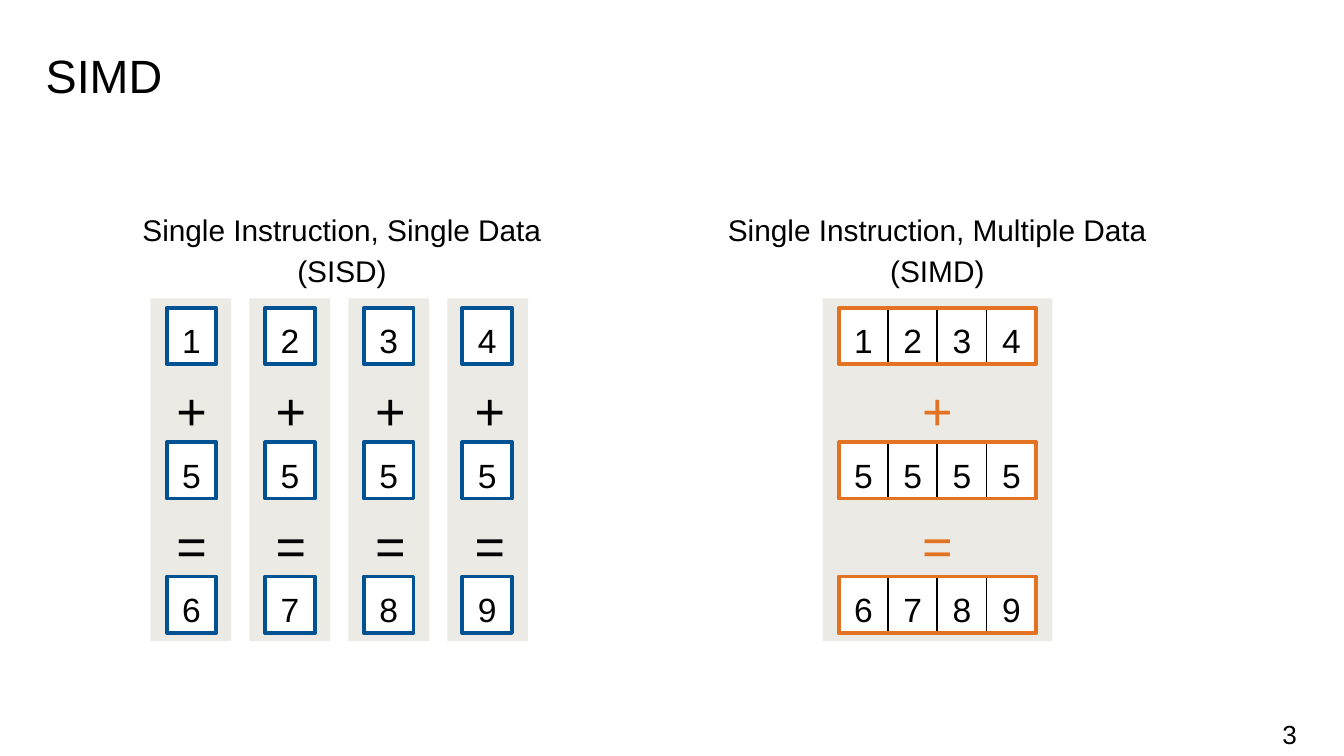
"""Build a slide comparing SISD and SIMD addition."""
import pptx
import pptx.dml.color
import pptx.enum.shapes
import pptx.enum.text
import pptx.oxml.ns
import pptx.util
from lxml import etree
from pptx.util import Inches

BLACK = pptx.dml.color.RGBColor(0x00, 0x00, 0x00)
WHITE = pptx.dml.color.RGBColor(0xFF, 0xFF, 0xFF)
BEIGE = pptx.dml.color.RGBColor(0xDA, 0xD7, 0xCB)
BLUE = pptx.dml.color.RGBColor(0x00, 0x52, 0x93)
ORANGE = pptx.dml.color.RGBColor(0xE3, 0x72, 0x22)
ALIGN = pptx.enum.text.PP_ALIGN
ANCHOR = pptx.enum.text.MSO_ANCHOR
AUTO_SIZE = pptx.enum.text.MSO_AUTO_SIZE

ROWS = [(2.29, "1234"), (3.29, "5555"), (4.29, "6789")]
OPERATORS = [(2.75, "+"), (3.75, "=")]
CELL_WIDTH, CELL_HEIGHT = 0.37, 0.42
SISD_LEFT, SIMD_LEFT = 1.24, 6.24
SISD_PITCH, SIMD_PITCH = 2.2 / 3, 1.1 / 3
PANEL_PITCH = 2.21 / 3
OPERATOR_PITCH = 0.74

presentation = pptx.Presentation()
presentation.slide_width = Inches(10)
presentation.slide_height = Inches(10 * 9 / 16)
slide = presentation.slides.add_slide(presentation.slide_layouts[5])


def write(shape, text, size, color=BLACK, align=ALIGN.CENTER, spacing=1.14, inset=0):
    """Fill a shape with one formatted paragraph."""
    frame = shape.text_frame
    frame.word_wrap = True
    frame.vertical_anchor = ANCHOR.TOP
    frame.margin_left = frame.margin_right = Inches(inset)
    frame.margin_top = frame.margin_bottom = Inches(inset / 2)
    paragraph = frame.paragraphs[0]
    paragraph.text = text
    paragraph.alignment = align
    paragraph.line_spacing = spacing
    for run in paragraph.runs:
        run.font.name = "Arial"
        run.font.size = pptx.util.Pt(size)
        run.font.color.rgb = color


def add_rectangle(left, top, width, height, fill=None, line=None, line_width=1):
    """Add a plain rectangle without shadow."""
    shape = slide.shapes.add_shape(
        pptx.enum.shapes.MSO_SHAPE.RECTANGLE,
        Inches(left), Inches(top), Inches(width), Inches(height))
    shape.shadow.inherit = False
    if fill is None:
        shape.fill.background()
    else:
        shape.fill.solid()
        shape.fill.fore_color.rgb = fill
    if line is None:
        shape.line.fill.background()
    else:
        shape.line.color.rgb = line
        shape.line.width = pptx.util.Pt(line_width)
    return shape


title = slide.shapes.title
title.left, title.top = Inches(0.34), Inches(0.32)
title.width, title.height = Inches(9.31), Inches(0.42)
write(title, "SIMD", 25, align=ALIGN.LEFT, spacing=pptx.util.Pt(32))
title.text_frame.auto_size = AUTO_SIZE.SHAPE_TO_FIT_TEXT

panels = [(1.12 + column * PANEL_PITCH, 0.6) for column in range(4)] + [(6.12, 1.71)]
for left, width in panels:
    panel = add_rectangle(left, 2.22, width, 2.55, fill=BEIGE)
    color = panel.fill._xPr.find(".//" + pptx.oxml.ns.qn("a:srgbClr"))
    etree.SubElement(color, pptx.oxml.ns.qn("a:alpha"), val="50000")

for left, pitch, line, line_width in [(SISD_LEFT, SISD_PITCH, BLUE, 2),
                                      (SIMD_LEFT, SIMD_PITCH, BLACK, 1)]:
    for top, digits in ROWS:
        for column, digit in enumerate(digits):
            cell = add_rectangle(left + column * pitch, top, CELL_WIDTH, CELL_HEIGHT,
                                 WHITE, line, line_width)
            write(cell, digit, 18, inset=0.1)

for top, digits in ROWS:
    add_rectangle(SIMD_LEFT, top, 1.47, CELL_HEIGHT, line=ORANGE, line_width=2)

labels = [(0.98, 1.54, 3.13, 0.59, "Single Instruction, Single Data\v(SISD)", 16, BLACK),
          (5.41, 1.54, 3.13, 0.59, "Single Instruction, Multiple Data\v(SIMD)", 16, BLACK)]
for top, operator in OPERATORS:
    for column in range(4):
        labels.append((SISD_LEFT + column * OPERATOR_PITCH, top, CELL_WIDTH, 0.49,
                       operator, 28, BLACK))
    labels.append((6.79, top, CELL_WIDTH, 0.49, operator, 28, ORANGE))
for left, top, width, height, text, size, color in labels:
    label = slide.shapes.add_textbox(Inches(left), Inches(top), Inches(width), Inches(height))
    write(label, text, size, color)
    label.text_frame.auto_size = AUTO_SIZE.SHAPE_TO_FIT_TEXT

page_number = slide.shapes.add_textbox(Inches(7.41), Inches(5.31), Inches(2.24), Inches(0.3))
write(page_number, "3", 14, align=ALIGN.RIGHT, spacing=1.0)
page_number.text_frame.vertical_anchor = ANCHOR.MIDDLE

presentation.save("out.pptx")
